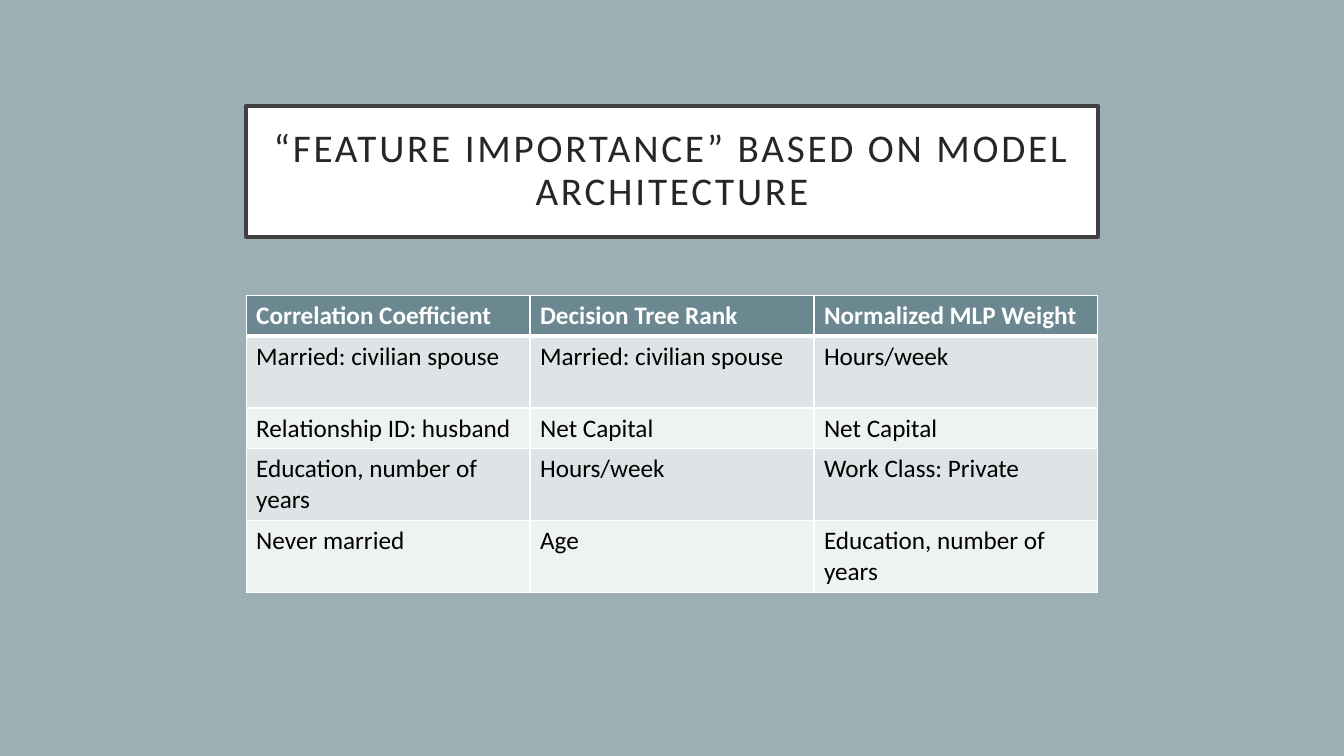
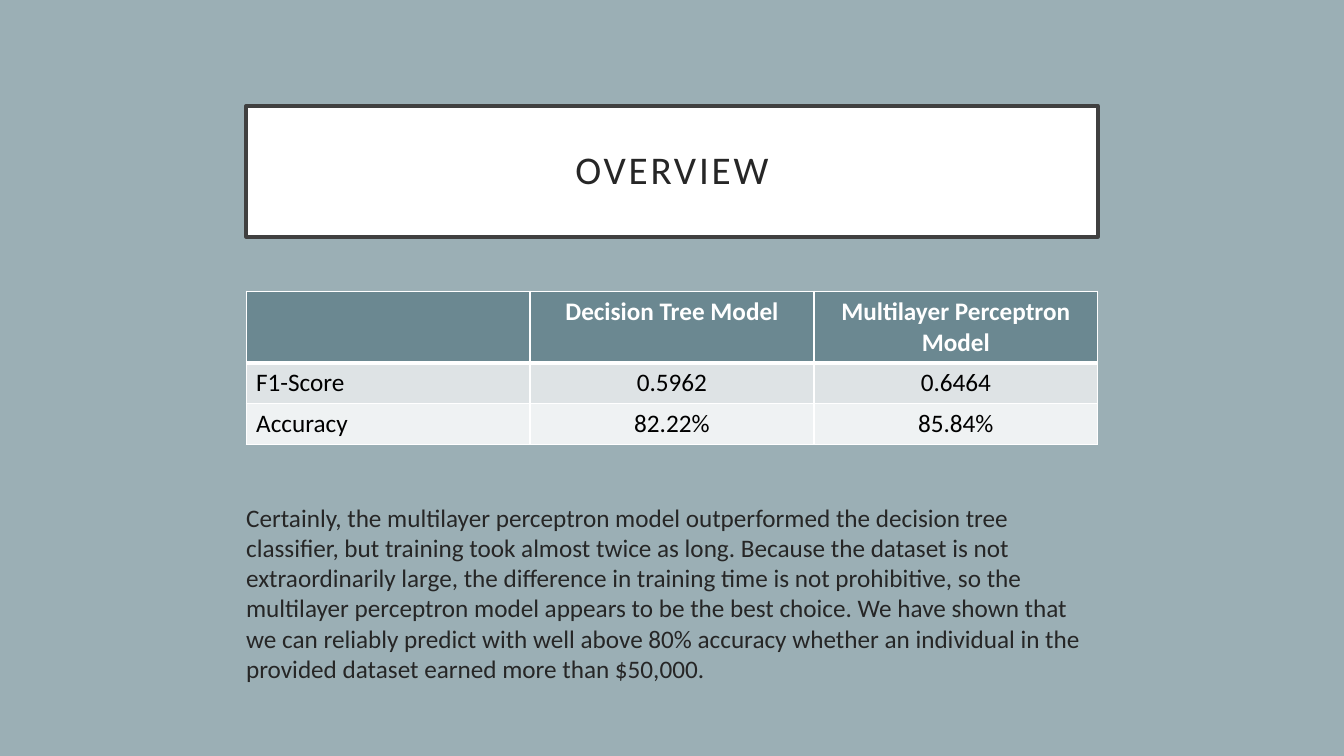
from lxml import etree
from pptx import Presentation
from pptx.dml.color import RGBColor
from pptx.enum import shapes, text
from pptx.oxml import ns
from pptx.util import Pt

COLORS = {
    "background": "9BAFB5",
    "panel": "FFFFFF",
    "frame": "404040",
    "ink": "262626",
    "header": "6B8891",
    "header_text": "FFFFFF",
    "cell_text": "000000",
    "odd_row": "DEE3E5",
    "even_row": "EFF2F3",
    "grid": "FFFFFF",
}
FONT = "Calibri"
SLIDE_W, SLIDE_H = 960, 540
CONTENT_W = 608.4
CONTENT_X = (SLIDE_W - CONTENT_W) / 2
TITLE_Y, TITLE_H = 75.6, 93.6
ONE_LINE, TWO_LINES = 29.2, 51.2

SLIDES = [
    {
        "title": "“FEATURE IMPORTANCE” BASED ON MODEL ARCHITECTURE",
        "table_top": 211,
        "centered": False,
        "row_heights": [ONE_LINE, TWO_LINES, ONE_LINE, TWO_LINES, TWO_LINES],
        "rows": [
            ["Correlation Coefficient", "Decision Tree Rank", "Normalized MLP Weight"],
            ["Married: civilian spouse", "Married: civilian spouse", "Hours/week"],
            ["Relationship ID: husband", "Net Capital", "Net Capital"],
            ["Education, number of years", "Hours/week", "Work Class: Private"],
            ["Never married", "Age", "Education, number of years"],
        ],
    },
    {
        "title": "OVERVIEW",
        "table_top": 208,
        "centered": True,
        "row_heights": [TWO_LINES, ONE_LINE, ONE_LINE],
        "rows": [
            ["", "Decision Tree Model", "Multilayer Perceptron Model"],
            ["F1-Score", "0.5962", "0.6464"],
            ["Accuracy", "82.22%", "85.84%"],
        ],
        "conclusion": (
            "Certainly, the multilayer perceptron model outperformed the decision tree "
            "classifier, but training took almost twice as long. Because the dataset is not "
            "extraordinarily large, the difference in training time is not prohibitive, so the "
            "multilayer perceptron model appears to be the best choice. We have shown that "
            "we can reliably predict with well above 80% accuracy whether an individual in the "
            "provided dataset earned more than $50,000."
        ),
    },
]


def rgb(name):
    return RGBColor.from_string(COLORS[name])


def style_text(paragraph, size, color, bold=False):
    for run in paragraph.runs:
        run.font.name = FONT
        run.font.size = Pt(size)
        run.font.bold = bold
        run.font.color.rgb = rgb(color)


def set_borders(cell, widths):
    properties = cell._tc.get_or_add_tcPr()
    for position, (side, width) in enumerate(widths.items()):
        line = etree.Element(ns.qn(f"a:ln{side}"), w=str(Pt(width)))
        fill = etree.SubElement(line, ns.qn("a:solidFill"))
        etree.SubElement(fill, ns.qn("a:srgbClr"), val=COLORS["grid"])
        properties.insert(position, line)


def add_title(slide, title):
    panel = slide.shapes.add_shape(
        shapes.MSO_SHAPE.RECTANGLE, Pt(CONTENT_X), Pt(TITLE_Y), Pt(CONTENT_W), Pt(TITLE_H)
    )
    panel.shadow.inherit = False
    panel.fill.solid()
    panel.fill.fore_color.rgb = rgb("panel")
    panel.line.color.rgb = rgb("frame")
    panel.line.width = Pt(2.5)
    frame = panel.text_frame
    frame.word_wrap = True
    frame.vertical_anchor = text.MSO_ANCHOR.MIDDLE
    frame.margin_left = frame.margin_right = Pt(14.4)
    frame.margin_top = frame.margin_bottom = Pt(14.4)
    frame.text = title
    heading = frame.paragraphs[0]
    heading.alignment = text.PP_ALIGN.CENTER
    heading.line_spacing = 0.9
    style_text(heading, 28, "ink")
    for run in heading.runs:
        run._r.get_or_add_rPr().set("spc", "200")


def add_results(slide, rows, heights, top, centered):
    table = slide.shapes.add_table(
        len(rows), len(rows[0]), Pt(CONTENT_X), Pt(top), Pt(CONTENT_W), Pt(sum(heights))
    ).table
    for column in table.columns:
        column.width = Pt(CONTENT_W / len(rows[0]))
    for r, (values, height) in enumerate(zip(rows, heights)):
        table.rows[r].height = Pt(height)
        is_header = r == 0
        band = "header" if is_header else "odd_row" if r % 2 else "even_row"
        for c, value in enumerate(values):
            cell = table.cell(r, c)
            cell.fill.solid()
            cell.fill.fore_color.rgb = rgb(band)
            set_borders(cell, {"L": 1, "R": 1, "T": 3 if r == 1 else 1, "B": 3 if is_header else 1})
            cell.text_frame.text = value
            entry = cell.text_frame.paragraphs[0]
            if centered and c > 0:
                entry.alignment = text.PP_ALIGN.CENTER
            style_text(entry, 18, "header_text" if is_header else "cell_text", is_header)


def add_conclusion(slide, conclusion):
    frame = slide.shapes.add_textbox(
        Pt(CONTENT_X), Pt(355), Pt(CONTENT_W), Pt(153.4)
    ).text_frame
    frame.word_wrap = True
    frame.margin_left = 0
    frame.text = conclusion
    style_text(frame.paragraphs[0], 18, "ink")


def main():
    deck = Presentation()
    deck.slide_width, deck.slide_height = Pt(SLIDE_W), Pt(SLIDE_H)
    for content in SLIDES:
        slide = deck.slides.add_slide(deck.slide_layouts[6])
        slide.background.fill.solid()
        slide.background.fill.fore_color.rgb = rgb("background")
        add_title(slide, content["title"])
        add_results(
            slide, content["rows"], content["row_heights"], content["table_top"], content["centered"]
        )
        if "conclusion" in content:
            add_conclusion(slide, content["conclusion"])
    deck.save("out.pptx")


if __name__ == "__main__":
    main()
